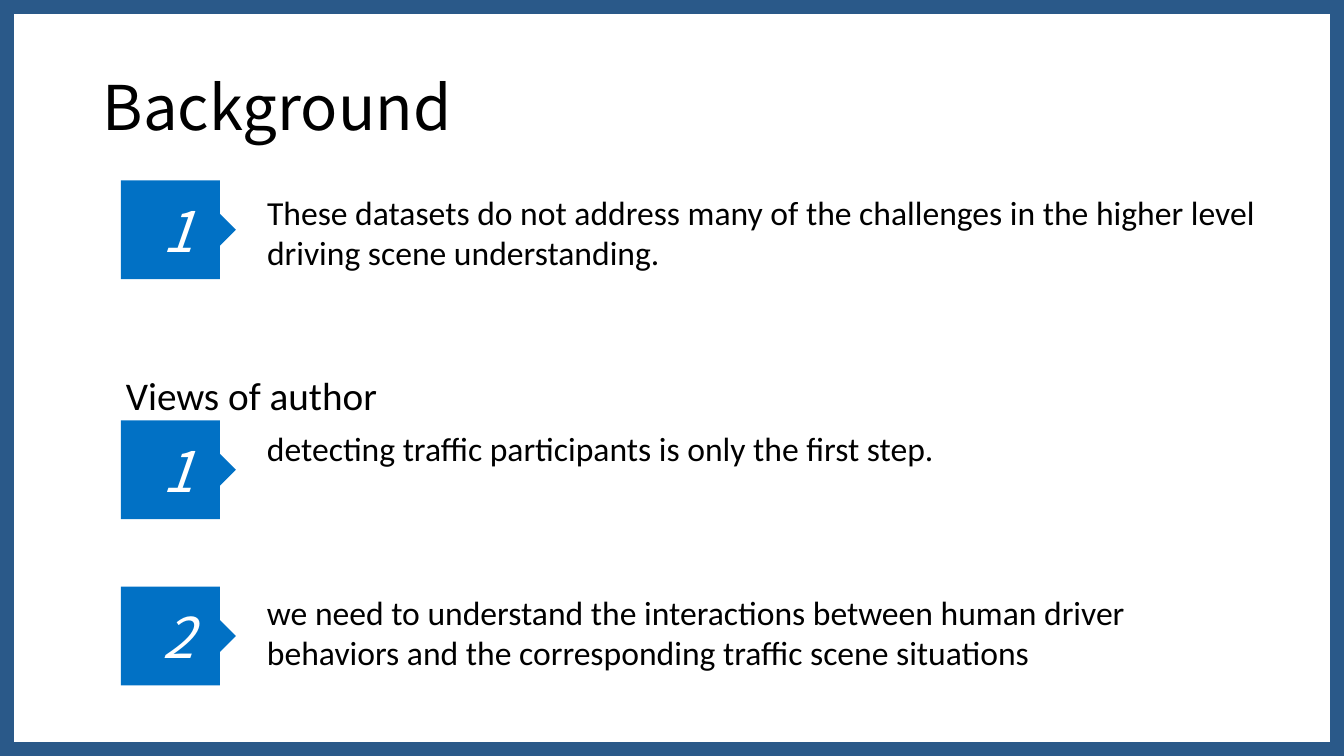
import pptx
import pptx.dml.color
import pptx.enum.shapes
import pptx.enum.text
import pptx.util

PX = 9144  # EMU, 100 px to the inch
SLIDE_SIZE = (1333, 750)
COLORS = {"frame": "2A5989", "tag": "0171C5", "number": "FFFFFF", "text": "000000"}
HEADING_FONT, BODY_FONT = "Noto Sans CJK SC", "Calibri"

TITLE = ("Background", (92, 60, 1122, 100))
SUBTITLE = ("Views of author", (115, 363, 272, 57))
TAG_LEFT, TEXT_LEFT = 120, 255
# number, tag top, text, text top, text width, text height
POINTS = [
    ("1", 179, "These datasets do not address many of the challenges in the "
               "higher level driving scene understanding.", 185, 1025, 91),
    ("1", 417, "detecting traffic participants is only the first step.", 420, 1093, 50),
    ("2", 582, "we need to understand the interactions between human driver "
               "behaviors and the corresponding traffic scene situations", 582, 1004, 91),
]
TAG_OUTLINE = [(0, 0), (98, 0), (98, 33), (114, 49), (98, 65), (98, 98), (0, 98)]

ALIGN = pptx.enum.text.PP_ALIGN
ANCHOR = pptx.enum.text.MSO_ANCHOR


def color(name):
    return pptx.dml.color.RGBColor.from_string(COLORS[name])


def write(shape, text, size, font=BODY_FONT, ink="text", italic=None,
          align=ALIGN.LEFT, anchor=ANCHOR.TOP, wrap=True, spacing=None):
    frame = shape.text_frame
    frame.word_wrap = wrap
    frame.vertical_anchor = anchor
    para = frame.paragraphs[0]
    para.alignment = align
    para.line_spacing = spacing
    span = para.add_run()
    span.text = text
    span.font.size = pptx.util.Pt(size)
    span.font.name = font
    span.font.italic = italic
    span.font.color.rgb = color(ink)


def add_text(page, text, box, size, **text_format):
    shape = page.shapes.add_textbox(*(length * PX for length in box))
    write(shape, text, size, **text_format)


def add_frame(page):
    frame = page.shapes.add_shape(
        pptx.enum.shapes.MSO_SHAPE.RECTANGLE, 0, 0, *(side * PX for side in SLIDE_SIZE))
    frame.shadow.inherit = False
    frame.fill.background()
    frame.line.color.rgb = color("frame")
    frame.line.width = pptx.util.Pt(20)


def add_tag(page, number, top):
    """Draw a numbered square with an arrow tip on its right side."""
    corners = [(TAG_LEFT + x, top + y) for x, y in TAG_OUTLINE]
    builder = page.shapes.build_freeform(*corners[0], scale=PX)
    builder.add_line_segments(corners[1:], close=True)
    tag = builder.convert_to_shape()
    tag.shadow.inherit = False
    tag.fill.solid()
    tag.fill.fore_color.rgb = color("tag")
    tag.line.fill.background()
    write(tag, number, 40, font=HEADING_FONT, ink="number", italic=True,
          align=ALIGN.CENTER, anchor=ANCHOR.MIDDLE)


def main():
    deck = pptx.Presentation()
    deck.slide_width, deck.slide_height = (side * PX for side in SLIDE_SIZE)
    page = deck.slides.add_slide(deck.slide_layouts[6])
    add_frame(page)
    add_text(page, *TITLE, 44, font=HEADING_FONT, anchor=ANCHOR.MIDDLE, spacing=0.9)
    add_text(page, *SUBTITLE, 28, wrap=False)
    for number, tag_top, text, text_top, width, height in POINTS:
        add_tag(page, number, tag_top)
        add_text(page, text, (TEXT_LEFT, text_top, width, height), 24)
    deck.save("out.pptx")


if __name__ == "__main__":
    main()
